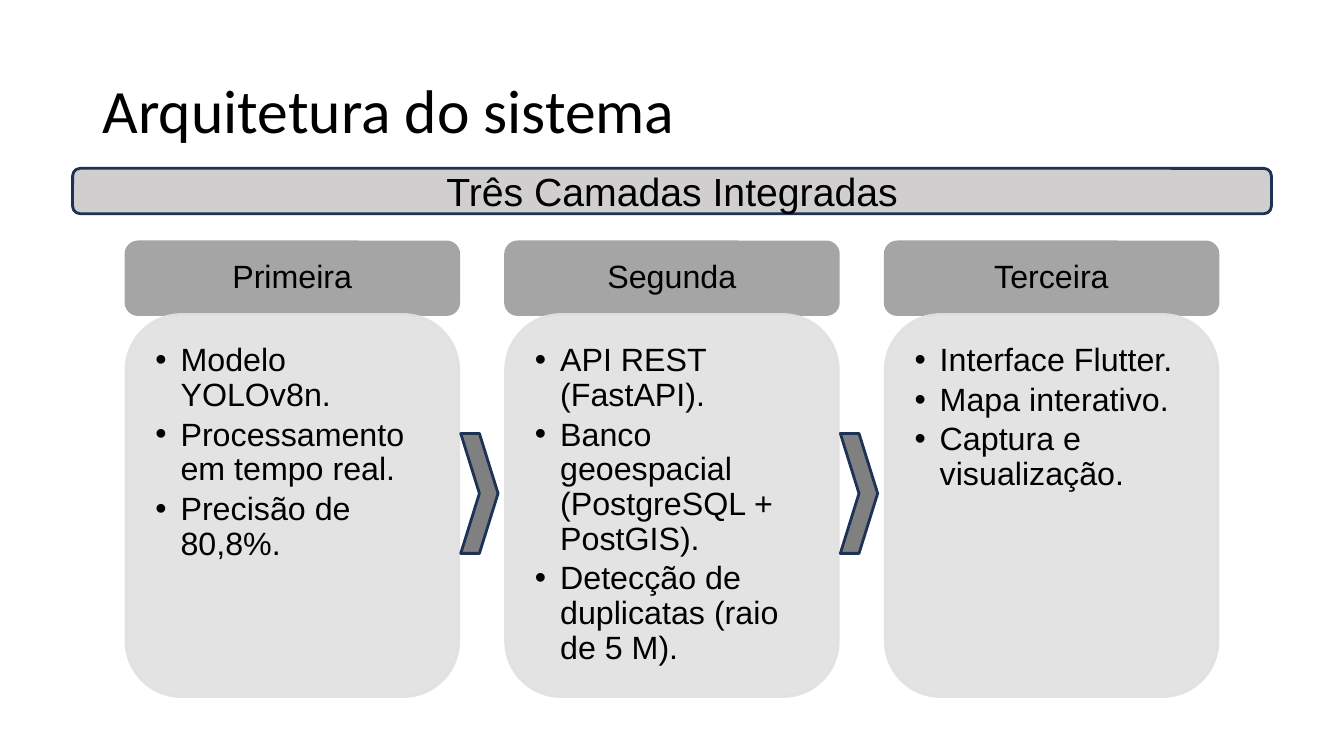
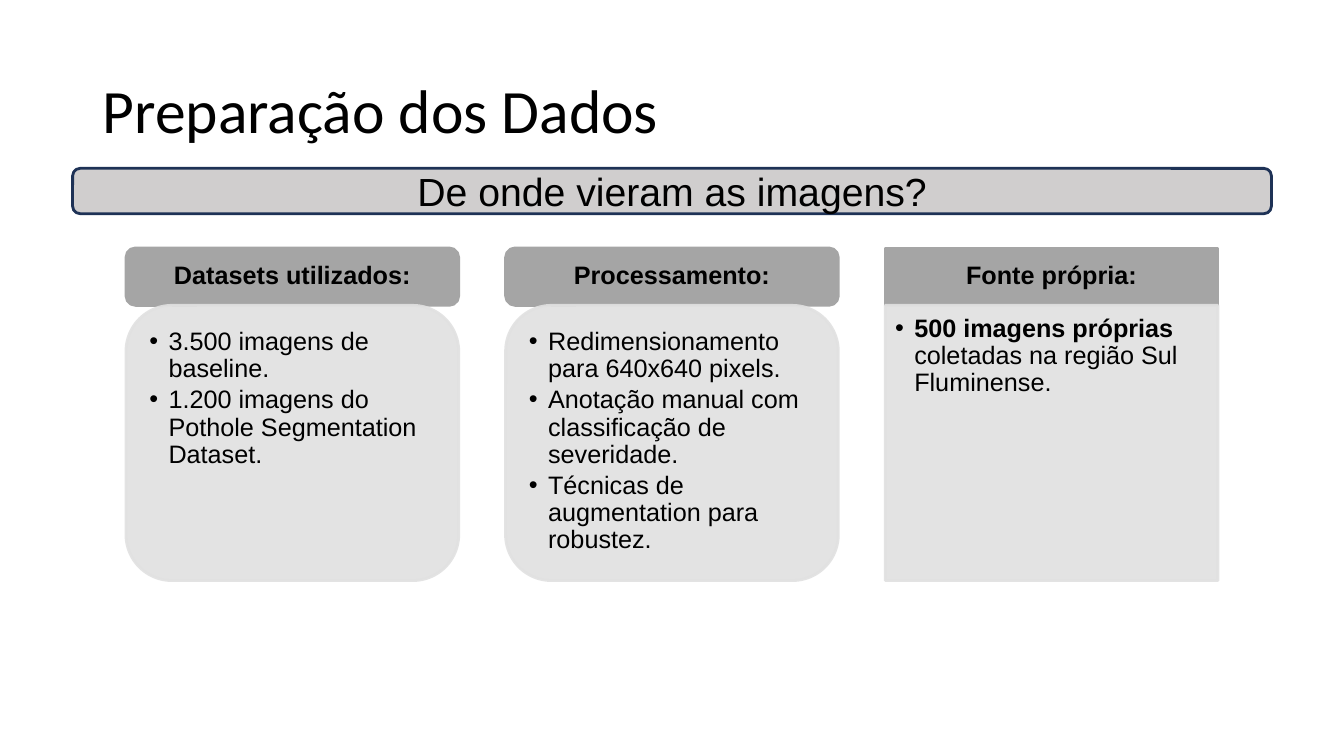
from lxml import etree
from pptx import Presentation
from pptx.dml.color import RGBColor
from pptx.enum.shapes import MSO_SHAPE
from pptx.enum.text import MSO_ANCHOR, PP_ALIGN
from pptx.oxml.ns import qn
from pptx.util import Inches, Pt

ROUNDED = MSO_SHAPE.ROUNDED_RECTANGLE
SQUARE = MSO_SHAPE.RECTANGLE
CHEVRON = MSO_SHAPE.CHEVRON
MIDDLE, TOP = MSO_ANCHOR.MIDDLE, MSO_ANCHOR.TOP
LEFT, CENTER = PP_ALIGN.LEFT, PP_ALIGN.CENTER

BLACK = "000000"
NAVY = "1E3256"
BAND_GRAY = "D0CECE"
HEADER_GRAY = "A5A5A5"
BODY_GRAY = "E1E1E1"
ARROW_GRAY = "808080"

TITLE_BOX = (0.92, 0.4, 11.5, 1.45)
BAND_BOX = (0.72, 1.67, 11.89, 0.45)
COLUMNS_LEFT, COLUMNS_WIDTH, COLUMN_WIDTH = 1.25, 10.83, 3.3

ARCHITECTURE = [
    ("Primeira", ROUNDED, [
        ["Modelo YOLOv8n."],
        ["Processamento em tempo real."],
        ["Precisão de 80,8%."]]),
    ("Segunda", ROUNDED, [
        ["API REST (FastAPI)."],
        ["Banco geoespacial (PostgreSQL + PostGIS)."],
        ["Detecção de duplicatas (raio de 5 M)."]]),
    ("Terceira", ROUNDED, [
        ["Interface Flutter."],
        ["Mapa interativo."],
        ["Captura e visualização."]]),
]
DATA_PREPARATION = [
    ("Datasets utilizados:", ROUNDED, [
        ["3.500 imagens de baseline."],
        ["1.200 imagens do Pothole Segmentation Dataset."]]),
    ("Processamento:", ROUNDED, [
        ["Redimensionamento para 640x640 pixels."],
        ["Anotação manual com classificação de severidade."],
        ["Técnicas de augmentation para robustez."]]),
    # A second run marks the first one as bold.
    ("Fonte própria:", SQUARE, [
        ["500 imagens próprias", " coletadas na região Sul Fluminense."]]),
]


def color(hex_value):
    return RGBColor.from_string(hex_value)


def add_run(paragraph, text, size, font="Arial", bold=False):
    run = paragraph.add_run()
    run.text = text
    run.font.name = font
    run.font.size = Pt(size)
    run.font.bold = bold
    run.font.color.rgb = color(BLACK)


def add_panel(slide, kind, box, fill, line):
    shape = slide.shapes.add_shape(kind, *map(Inches, box))
    shape.shadow.inherit = False
    shape.fill.solid()
    shape.fill.fore_color.rgb = color(fill)
    shape.line.color.rgb = color(line)
    shape.line.width = Pt(2)
    return shape


def set_opacity(shape, percent):
    """Apply the opacity to both the fill and the outline."""
    for rgb in shape._element.spPr.iter(qn("a:srgbClr")):
        etree.SubElement(rgb, qn("a:alpha"), val=str(percent * 1000))


def set_frame(frame, anchor, insets):
    frame.word_wrap = True
    frame.vertical_anchor = anchor
    (frame.margin_left, frame.margin_top,
     frame.margin_right, frame.margin_bottom) = map(Inches, insets)


def add_bullet(paragraph, indent):
    properties = paragraph._p.get_or_add_pPr()
    properties.set("marL", str(Inches(indent)))
    properties.set("indent", str(-Inches(indent)))
    etree.SubElement(properties, qn("a:buFont"), typeface="Arial")
    etree.SubElement(properties, qn("a:buChar"), char="•")


def add_title(slide, text):
    frame = slide.shapes.add_textbox(*map(Inches, TITLE_BOX)).text_frame
    set_frame(frame, MIDDLE, (0.1, 0.05, 0.1, 0.05))
    paragraph = frame.paragraphs[0]
    paragraph.line_spacing = 0.9
    add_run(paragraph, text, 44, "Calibri")


def add_band(slide, text):
    frame = add_panel(slide, ROUNDED, BAND_BOX, BAND_GRAY, NAVY).text_frame
    set_frame(frame, MIDDLE, (0.1, 0.05, 0.1, 0.05))
    paragraph = frame.paragraphs[0]
    paragraph.alignment = CENTER
    add_run(paragraph, text, 28)


def add_header(slide, kind, box, text, style):
    frame = add_panel(slide, kind, box, HEADER_GRAY, HEADER_GRAY).text_frame
    set_frame(frame, MIDDLE, style["header_insets"])
    paragraph = frame.paragraphs[0]
    paragraph.alignment = CENTER
    paragraph.line_spacing = 0.9
    add_run(paragraph, text, style["size"], bold=style["bold_header"])


def add_body(slide, kind, box, items, style):
    panel = add_panel(slide, kind, box, BODY_GRAY, BODY_GRAY)
    set_opacity(panel, 90)
    frame = panel.text_frame
    set_frame(frame, TOP, style["body_insets"])
    for index, runs in enumerate(items):
        paragraph = frame.add_paragraph() if index else frame.paragraphs[0]
        paragraph.alignment = LEFT
        paragraph.line_spacing = 0.9
        paragraph.space_after = Pt(style["size"] * 0.15)
        add_bullet(paragraph, style["indent"])
        for position, text in enumerate(runs):
            lead = len(runs) > 1 and position == 0
            add_run(paragraph, text, style["size"], bold=lead)


def column_lefts(count):
    gap = (COLUMNS_WIDTH - count * COLUMN_WIDTH) / (count - 1)
    return [COLUMNS_LEFT + i * (COLUMN_WIDTH + gap) for i in range(count)]


def add_columns(slide, columns, style):
    top, header_height = style["top"], style["header_height"]
    for left, (heading, kind, items) in zip(column_lefts(len(columns)), columns):
        add_header(slide, kind, (left, top, COLUMN_WIDTH, header_height),
                   heading, style)
        add_body(slide, kind, (left, top + header_height, COLUMN_WIDTH,
                               style["body_height"]), items, style)


def add_chevrons(slide, count):
    """Place a chevron in each gap between the columns."""
    for left in column_lefts(count)[:-1]:
        box = (left + COLUMN_WIDTH + 0.02, 4.3, 0.37, 1.19)
        add_panel(slide, CHEVRON, box, ARROW_GRAY, NAVY)


def add_column_slide(presentation, title, band, columns, style):
    slide = presentation.slides.add_slide(presentation.slide_layouts[6])
    add_title(slide, title)
    add_columns(slide, columns, style)
    add_band(slide, band)
    return slide


LARGE = {
    "size": 23, "bold_header": False, "indent": 0.25,
    "top": 2.4, "header_height": 0.72, "body_height": 3.79,
    "header_insets": (0.18, 0.1, 0.18, 0.1),
    "body_insets": (0.13, 0.13, 0.18, 0.2),
}
COMPACT = {
    "size": 18, "bold_header": True, "indent": 0.19,
    "top": 2.46, "header_height": 0.57, "body_height": 2.73,
    "header_insets": (0.14, 0.08, 0.14, 0.08),
    "body_insets": (0.1, 0.1, 0.14, 0.16),
}


def main():
    presentation = Presentation()
    presentation.slide_width = Inches(13.33)
    presentation.slide_height = Inches(7.5)
    architecture = add_column_slide(
        presentation, "Arquitetura do sistema", "Três Camadas Integradas",
        ARCHITECTURE, LARGE)
    add_chevrons(architecture, len(ARCHITECTURE))
    add_column_slide(
        presentation, "Preparação dos Dados", "De onde vieram as imagens?",
        DATA_PREPARATION, COMPACT)
    presentation.save("out.pptx")


if __name__ == "__main__":
    main()
